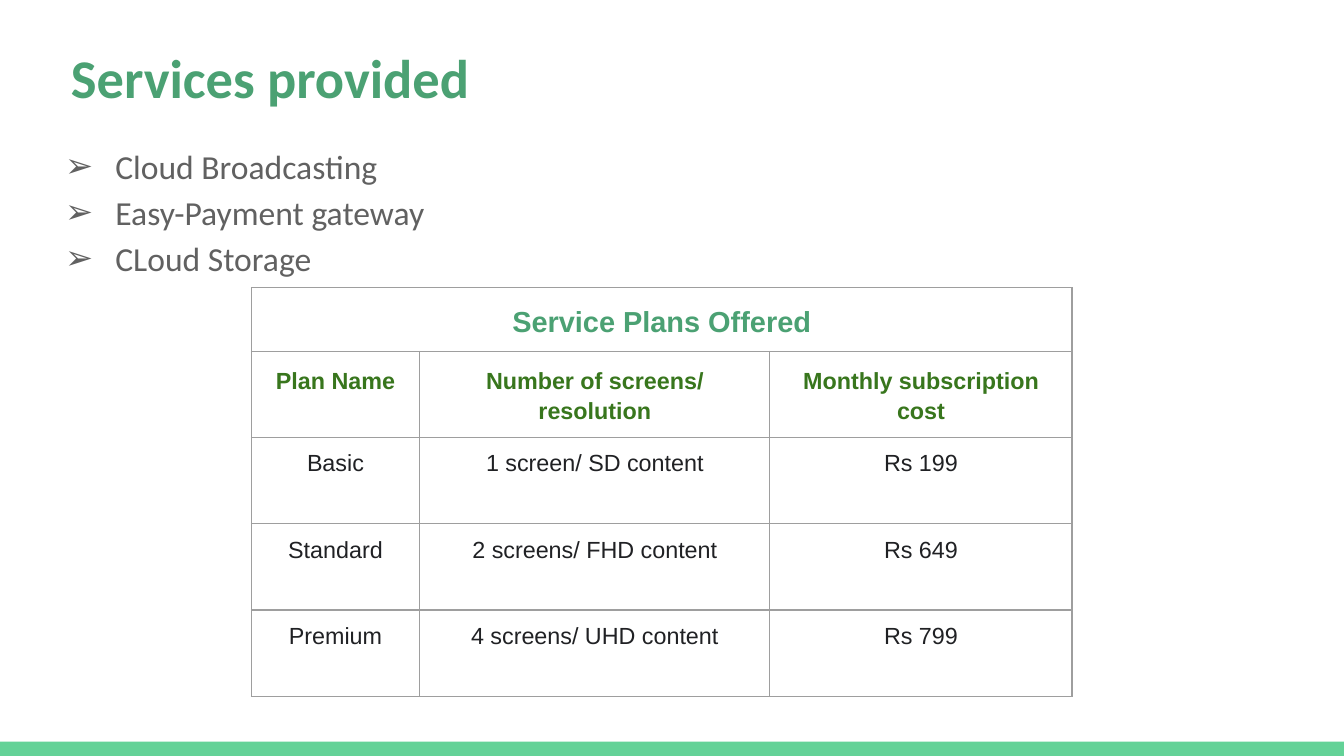
from dataclasses import dataclass

from lxml import etree
from pptx import Presentation
from pptx.dml.color import RGBColor
from pptx.enum import shapes, text
from pptx.oxml import ns
from pptx.util import Cm, Pt


@dataclass(frozen=True)
class Theme:
    accent: str = "4BA173"
    bar: str = "63D297"
    body: str = "616161"
    header: str = "38761D"
    cell: str = "202124"
    border: str = "9E9E9E"
    border_width: float = 0.75
    heading_font: str = "Calibri"
    table_font: str = "Arial"
    title_size: float = 29.2
    body_size: float = 18
    caption_size: float = 15.5
    cell_size: float = 12.5
    line_spacing: float = 1.15
    inset: float = 0.25


@dataclass(frozen=True)
class Box:
    left: float
    top: float
    width: float
    height: float


@dataclass(frozen=True)
class TextStyle:
    font: str
    size: float
    color: str
    bold: bool = False
    align: text.PP_ALIGN = text.PP_ALIGN.LEFT
    spacing: float = 1.0


@dataclass(frozen=True)
class PlanRow:
    values: tuple[str, ...]
    height: float
    style: TextStyle


THEME = Theme()
CENTER = text.PP_ALIGN.CENTER
TITLE = TextStyle(THEME.heading_font, THEME.title_size, THEME.accent, True)
BODY = TextStyle(THEME.heading_font, THEME.body_size, THEME.body, spacing=THEME.line_spacing)
CAPTION = TextStyle(THEME.table_font, THEME.caption_size, THEME.accent, True, CENTER, THEME.line_spacing)
HEADER = TextStyle(THEME.table_font, THEME.cell_size, THEME.header, True, CENTER, THEME.line_spacing)
CELL = TextStyle(THEME.table_font, THEME.cell_size, THEME.cell, False, CENTER)

SLIDE = Box(0, 0, 25.4, 14.29)
BAR_HEIGHT = 0.27
TITLE_BOX = Box(1.09, 0.58, 23.67, 1.6)
BODY_BOX = Box(0.66, 2.39, 23.67, 9.5)
TABLE_LEFT, TABLE_TOP = 4.75, 5.44
COLUMN_WIDTHS = (3.18, 6.62, 5.71)
PLAN_HEIGHT = 1.63

SERVICES = ("Cloud Broadcasting", "Easy-Payment gateway", "CLoud Storage")
PLANS = (
    PlanRow(("Service Plans Offered",), 1.2, CAPTION),
    PlanRow(("Plan Name", "Number of screens/ resolution", "Monthly subscription cost"), PLAN_HEIGHT, HEADER),
    PlanRow(("Basic", "1 screen/ SD content", "Rs 199"), PLAN_HEIGHT, CELL),
    PlanRow(("Standard", "2 screens/ FHD content", "Rs 649"), PLAN_HEIGHT, CELL),
    PlanRow(("Premium", "4 screens/ UHD content", "Rs 799"), PLAN_HEIGHT, CELL),
)


def format_paragraph(paragraph, style: TextStyle) -> None:
    paragraph.alignment = style.align
    paragraph.line_spacing = style.spacing
    paragraph.space_before = paragraph.space_after = Pt(0)
    paragraph.font.name = style.font
    paragraph.font.size = Pt(style.size)
    paragraph.font.bold = style.bold
    paragraph.font.color.rgb = RGBColor.from_string(style.color)


def add_color(parent, color: str) -> None:
    etree.SubElement(parent, ns.qn("a:srgbClr"), val=color)


def add_bullet(paragraph, character: str, color: str) -> None:
    properties = paragraph._p.get_or_add_pPr()
    properties.set("marL", str(Cm(1.27)))
    properties.set("indent", str(-Cm(0.95)))
    add_color(etree.SubElement(properties, ns.qn("a:buClr")), color)
    etree.SubElement(properties, ns.qn("a:buFont"), typeface=THEME.heading_font)
    etree.SubElement(properties, ns.qn("a:buChar"), char=character)


def add_borders(cell) -> None:
    properties = cell._tc.get_or_add_tcPr()
    for side in ("lnL", "lnR", "lnT", "lnB"):
        line = etree.SubElement(properties, ns.qn(f"a:{side}"), w=str(Pt(THEME.border_width)))
        add_color(etree.SubElement(line, ns.qn("a:solidFill")), THEME.border)


def fill_placeholder(shape, box: Box, lines: tuple[str, ...], style: TextStyle) -> None:
    shape.left, shape.top = Cm(box.left), Cm(box.top)
    shape.width, shape.height = Cm(box.width), Cm(box.height)
    frame = shape.text_frame
    frame.text = "\n".join(lines)
    frame.word_wrap = True
    frame.auto_size = text.MSO_AUTO_SIZE.NONE
    frame.vertical_anchor = text.MSO_ANCHOR.TOP
    frame.margin_left = frame.margin_right = Cm(THEME.inset)
    frame.margin_top = frame.margin_bottom = Cm(THEME.inset)


def add_bar(slide) -> None:
    bar = slide.shapes.add_shape(
        shapes.MSO_SHAPE.RECTANGLE, 0, Cm(SLIDE.height - BAR_HEIGHT), Cm(SLIDE.width), Cm(BAR_HEIGHT)
    )
    bar.shadow.inherit = False
    bar.fill.solid()
    bar.fill.fore_color.rgb = RGBColor.from_string(THEME.bar)
    bar.line.fill.background()


def format_cell(cell, style: TextStyle) -> None:
    add_borders(cell)
    cell.fill.background()
    cell.margin_left = cell.margin_right = Cm(THEME.inset)
    cell.margin_top = cell.margin_bottom = Cm(THEME.inset)
    format_paragraph(cell.text_frame.paragraphs[0], style)


def add_plan_table(slide) -> None:
    table = slide.shapes.add_table(
        len(PLANS), len(COLUMN_WIDTHS), Cm(TABLE_LEFT), Cm(TABLE_TOP),
        Cm(sum(COLUMN_WIDTHS)), Cm(sum(plan.height for plan in PLANS)),
    ).table
    table.first_row = table.horz_banding = False
    for column, width in zip(table.columns, COLUMN_WIDTHS):
        column.width = Cm(width)
    for row, plan in zip(table.rows, PLANS):
        row.height = Cm(plan.height)
        for cell, value in zip(row.cells, plan.values):
            cell.text = value
        for cell in row.cells:
            format_cell(cell, plan.style)
    table.cell(0, 0).merge(table.cell(0, len(COLUMN_WIDTHS) - 1))


def main() -> None:
    presentation = Presentation()
    presentation.slide_width, presentation.slide_height = Cm(SLIDE.width), Cm(SLIDE.height)
    slide = presentation.slides.add_slide(presentation.slide_layouts[1])
    add_bar(slide)
    title, body = slide.shapes.title, slide.placeholders[1]
    fill_placeholder(title, TITLE_BOX, ("Services provided",), TITLE)
    format_paragraph(title.text_frame.paragraphs[0], TITLE)
    fill_placeholder(body, BODY_BOX, SERVICES, BODY)
    for paragraph in body.text_frame.paragraphs:
        add_bullet(paragraph, "➢", THEME.body)
        format_paragraph(paragraph, BODY)
    add_plan_table(slide)
    presentation.save("out.pptx")


if __name__ == "__main__":
    main()
